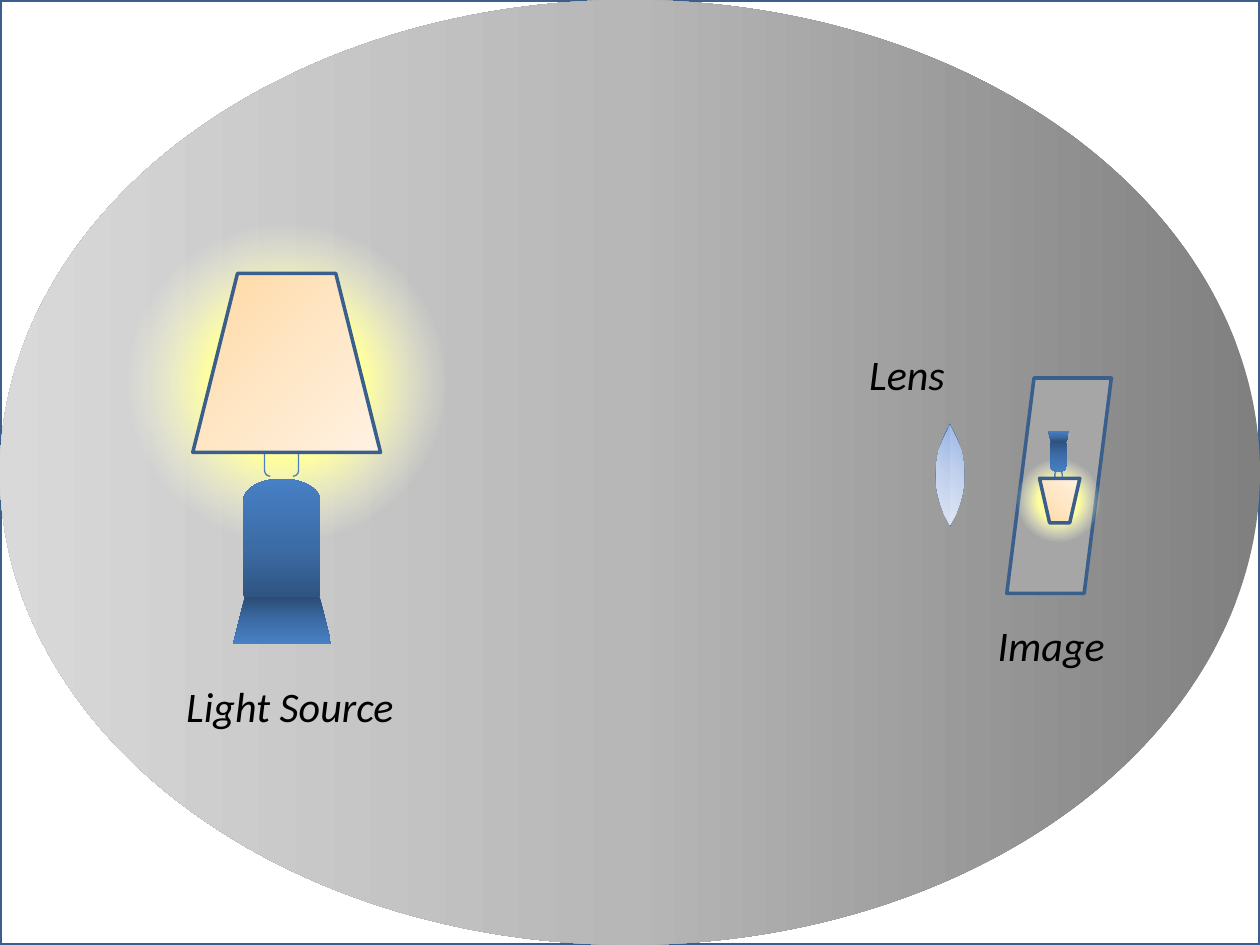
from lxml import etree
from pptx import Presentation
from pptx.dml.color import RGBColor
from pptx.enum import shapes, text
from pptx.oxml import ns
from pptx.util import Inches, Pt

SHAPE = shapes.MSO_SHAPE
OUTLINE, THIN_LINE = ("3A5F8C", 2), ("4B7EBC", 0.75)
ROOM = [(0, "808080"), (50, "B7B7B7"), (100, "D9D9D9")]
GLOW = [(32, "FFFFA0", 100), (50, "FFFFC5", 46), (66, "FFFFE3", 0), (100, "FFFFE3", 0)]
STAND = [(0, "2A4C75"), (50, "3C6CA6"), (100, "4780C5")]
SHADE = [(0, "FFD8A0"), (50, "FFE6C5"), (100, "FFF2E3")]
GLASS = [(0, "9AB5E4"), (50, "C2D1ED"), (100, "E1E8F5")]


def rgb(value):
    """Turn a hex string into a colour."""
    return RGBColor.from_string(value)


def add_node(parent, tag, **attrs):
    """Add a DrawingML child element with the given attributes."""
    node = etree.SubElement(parent, ns.qn(tag))
    for key, value in attrs.items():
        node.set(key, str(value))
    return node


def set_gradient(sp, stops, angle=None, focus=None):
    """Fill a shape with a linear gradient, or a radial one around a focus."""
    sp.fill.gradient()
    grad = sp._element.spPr.find(ns.qn("a:gradFill"))
    for child in list(grad):
        grad.remove(child)
    grad.set("rotWithShape", "1")
    stop_list = add_node(grad, "a:gsLst")
    for pos, colour, *alpha in stops:
        stop = add_node(stop_list, "a:gs", pos=pos * 1000)
        clr = add_node(stop, "a:srgbClr", val=colour)
        if alpha:
            add_node(clr, "a:alpha", val=alpha[0] * 1000)
    if focus:
        radial = add_node(grad, "a:path", path="circle")
        sides = {side: value * 1000 for side, value in zip("ltrb", focus)}
        add_node(radial, "a:fillToRect", **sides)
    else:
        add_node(grad, "a:lin", ang=angle * 60000, scaled=0)


def style(sp, fill=None, line=None, stops=None, angle=None, focus=None):
    """Set the fill and line of a shape and drop its shadow."""
    sp.shadow.inherit = False
    if stops:
        set_gradient(sp, stops, angle, focus)
    elif fill:
        sp.fill.solid()
        sp.fill.fore_color.rgb = rgb(fill)
    else:
        sp.fill.background()
    if line:
        sp.line.color.rgb = rgb(line[0])
        sp.line.width = Pt(line[1])
    else:
        sp.line.fill.background()


def add_shape(s, kind, box, rotation=0, flip=False, adj=(), **look):
    """Add a styled preset shape, upside down when flip is set."""
    sp = s.shapes.add_shape(kind, *map(Inches, box))
    sp.rotation = rotation
    if flip:
        sp._element.spPr.find(ns.qn("a:xfrm")).set("flipV", "1")
    for i, value in enumerate(adj):
        sp.adjustments[i] = value
    style(sp, **look)
    return sp


def add_label(s, words, box, size=24, font="Calibri", colour="000000", italic=True):
    """Add a one-line label."""
    tf = s.shapes.add_textbox(*map(Inches, box)).text_frame
    tf.word_wrap = False
    tf.auto_size = text.MSO_AUTO_SIZE.SHAPE_TO_FIT_TEXT
    r = tf.paragraphs[0].add_run()
    r.text = words
    r.font.size, r.font.name, r.font.italic = Pt(size), font, italic
    r.font.color.rgb = rgb(colour)


def add_room(s, box):
    """Draw the framed background with its shaded ellipse."""
    add_shape(s, SHAPE.RECTANGLE, box, fill="FFFFFF", line=OUTLINE)
    add_shape(s, SHAPE.OVAL, box, flip=True, stops=ROOM, angle=180)


def add_lamp(s, box, glow, flip=False):
    """Draw a glowing lamp in its box, upside down when flip is set."""
    left, top, width, height = box

    def part(x, y, w, h):
        """Scale a part of the 1.49 by 2.94 lamp into the box."""
        y = 2.94 - y - h if flip else y
        kx, ky = width / 1.49, height / 2.94
        return left + x * kx, top + y * ky, w * kx, h * ky

    add_shape(s, SHAPE.OVAL, glow, stops=GLOW, focus=(50, 50, 50, 50))
    x, y, w, h = part(0.4, 1.63, 0.61, 1.07)
    turned = (x + (w - h) / 2, y + (h - w) / 2, h, w)
    add_shape(s, SHAPE.FLOWCHART_TERMINATOR, turned, 270 if flip else 90, flip,
              stops=STAND, angle=180)
    add_shape(s, SHAPE.TRAPEZOID, part(0.32, 2.57, 0.78, 0.37), flip=flip,
              stops=STAND, angle=90)
    add_shape(s, SHAPE.DOUBLE_BRACKET, part(0.57, 1.17, 0.27, 0.44), flip=flip,
              line=THIN_LINE)
    add_shape(s, SHAPE.TRAPEZOID, part(0, 0, 1.49, 1.42), flip=flip,
              stops=SHADE, angle=45, line=OUTLINE)


def add_lens(s, box):
    """Draw a lens from two arcs and two mirrored glass halves."""
    left, top, width, height = box
    middle = left + width / 2
    arc = 1.77
    arc_top = top + height / 2 - 0.82
    for x, adj in ((left + width - arc, (199.25, 16.44)), (left, (91.27, 124.49))):
        add_shape(s, SHAPE.ARC, (x, arc_top, arc, 1.63), adj=adj, line=THIN_LINE)
    profile = [(0, 0), (0.45, 0.13), (0.82, 0.25), (1, 0.41), (1, 0.48), (0.98, 0.59),
               (0.9, 0.67), (0.7, 0.78), (0.42, 0.89), (0, 1)]
    for side in (-1, 1):
        points = [(Inches(middle + side * x * width / 2), Inches(top + y * height))
                  for x, y in profile]
        builder = s.shapes.build_freeform(*points[0])
        builder.add_line_segments(points[1:], close=True)
        style(builder.convert_to_shape(), stops=GLASS, focus=(100, 0, 0, 100))


def add_screen(s, box):
    """Draw the slanted screen with the inverted lamp on it."""
    left, top, width, height = box
    add_shape(s, SHAPE.PARALLELOGRAM, box, 180, adj=(0.26,), fill="A6A6A6", line=OUTLINE)
    add_lamp(s, (left + 0.26, top + 0.42, 0.32, 0.73),
             (left + 0.06, top + 0.61, 0.7, 0.73), flip=True)


def main():
    """Build the slide and save it."""
    prs = Presentation()
    prs.slide_width, prs.slide_height = Inches(10), Inches(7.5)
    s = prs.slides.add_slide(prs.slide_layouts[6])
    add_room(s, (0, 0, 10, 7.5))
    add_lamp(s, (1.53, 2.17, 1.49, 2.94), (0.81, 1.78, 2.93, 2.51))
    add_lens(s, (7.43, 3.38, 0.22, 0.79))
    add_screen(s, (7.99, 3, 0.83, 1.71))
    add_label(s, "Light Source", (1.38, 5.35, 1.87, 0.5))
    add_label(s, "Image", (7.82, 4.87, 1.06, 0.5))
    add_label(s, "Lens", (6.8, 2.72, 0.81, 0.5))
    prs.save("out.pptx")


if __name__ == "__main__":
    main()
